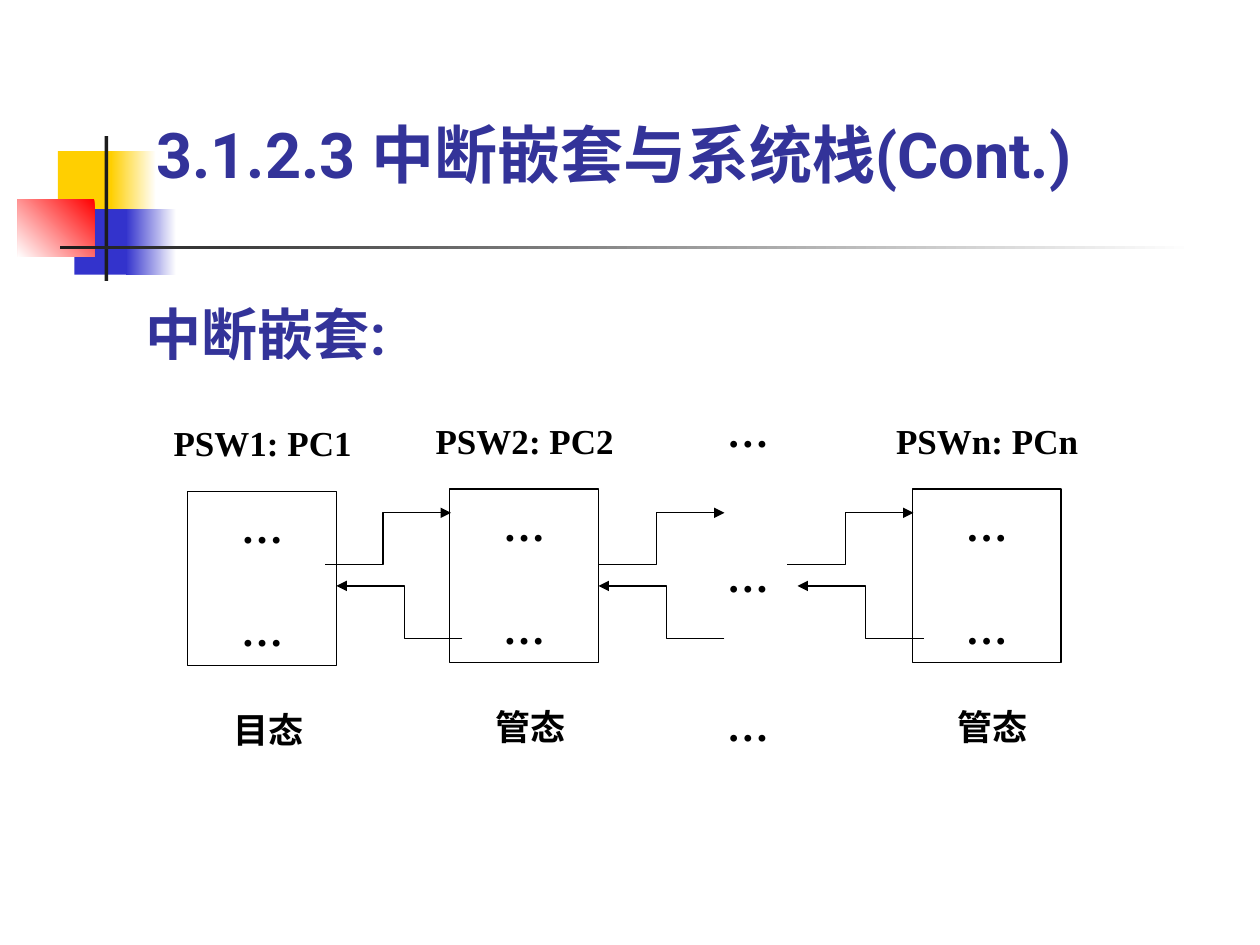
"""Build the slide on nested interrupts and the system stack."""
from dataclasses import dataclass

from lxml import etree
from pptx import Presentation
from pptx import util as u
from pptx.dml.color import RGBColor
from pptx.enum import shapes, text
from pptx.oxml import ns


@dataclass(frozen=True)
class Theme:
    """Colours, fonts and type sizes of the slide."""
    white: str = "FFFFFF"
    black: str = "000000"
    heading: str = "333399"
    yellow: str = "FFCF01"
    blue: str = "3333CC"
    red: str = "FF0000"
    rule: str = "1C1C1C"
    heading_font: str = "Roboto"
    body_font: str = "Times New Roman"
    title_size: int = 36
    subtitle_size: int = 32
    dots_size: int = 24
    label_size: int = 20
    line_width: float = 0.75


THEME = Theme()
LEFT, CENTER = text.PP_ALIGN.LEFT, text.PP_ALIGN.CENTER


def set_values(target, values):
    """Set every attribute named in a dict of format values."""
    for name, value in values.items():
        setattr(target, name, value)


def place(shape, box):
    """Move and size a shape from a box in inches."""
    names = ("left", "top", "width", "height")
    set_values(shape, dict(zip(names, map(u.Inches, box))))


def write(shape, lines, size, color=THEME.black, font=THEME.body_font,
          align=CENTER, gap=0, **frame_values):
    """Write bold lines into a shape, with a gap between the lines."""
    frame = shape.text_frame
    set_values(frame, {"word_wrap": True,
                       "auto_size": text.MSO_AUTO_SIZE.SHAPE_TO_FIT_TEXT,
                       **frame_values})
    for index, line in enumerate(lines):
        paragraph = frame.add_paragraph() if index else frame.paragraphs[0]
        paragraph.text = line
        set_values(paragraph, {"alignment": align,
                               "space_before": u.Pt(gap if index else 0)})
        set_values(paragraph.font, {"name": font, "size": u.Pt(size), "bold": True})
        paragraph.font.color.rgb = RGBColor.from_string(color)


def add_label(slide, box, line, size, **format_values):
    """Add a one-line text box."""
    shape = slide.shapes.add_textbox(*map(u.Inches, box))
    write(shape, [line], size, **format_values)
    place(shape, box)


def add_rectangle(slide, box, color):
    """Add a plain filled rectangle without an outline."""
    shape = slide.shapes.add_shape(shapes.MSO_SHAPE.RECTANGLE, *map(u.Inches, box))
    shape.shadow.inherit = False
    shape.fill.solid()
    shape.fill.fore_color.rgb = RGBColor.from_string(color)
    shape.line.fill.background()
    return shape


def add_fade(slide, box, start, end, angle=180):
    """Add a rectangle with a two-colour linear gradient."""
    fill = add_rectangle(slide, box, start).fill
    fill.gradient()
    fill.gradient_angle = angle
    for stop, color in zip(fill.gradient_stops, (start, end)):
        stop.color.rgb = RGBColor.from_string(color)


def draw_outline(shape):
    """Give a shape the thin black line of the diagram."""
    shape.line.color.rgb = RGBColor.from_string(THEME.black)
    shape.line.width = u.Pt(THEME.line_width)


def add_arrow(slide, start, turn, end):
    """Add a stepped arrow that changes height at the turn."""
    (start_x, start_y), (end_x, end_y) = start, end
    builder = slide.shapes.build_freeform(u.Inches(start_x), u.Inches(start_y))
    corners = [(turn, start_y), (turn, end_y), (end_x, end_y)]
    builder.add_line_segments([tuple(map(u.Inches, point)) for point in corners],
                              close=False)
    shape = builder.convert_to_shape()
    shape.shadow.inherit = False
    shape.fill.background()
    draw_outline(shape)
    line = shape.line.fill._xPr
    etree.SubElement(line, ns.qn("a:tailEnd"), type="triangle")


def add_process(slide, left, top, heading, state):
    """Add a program box with its status word above and its mode below."""
    box = add_rectangle(slide, (left, top, 1.18, 1.38), THEME.white)
    draw_outline(box)
    write(box, ["…", "…"], THEME.dots_size, gap=30, word_wrap=False,
          auto_size=text.MSO_AUTO_SIZE.NONE,
          vertical_anchor=text.MSO_ANCHOR.MIDDLE)
    add_label(slide, (left + 0.18, top + 1.67, 0.92, 0.44), state, THEME.label_size)
    add_label(slide, (left - 0.24, top - 0.6, 1.67, 0.44), heading, THEME.label_size)


def add_decoration(slide):
    """Add the coloured blocks and the two rules beside the title."""
    add_rectangle(slide, (0.46, 1.2, 0.48, 0.52), THEME.yellow)
    add_fade(slide, (0.88, 1.2, 0.36, 0.52), THEME.white, THEME.yellow)
    add_rectangle(slide, (0.59, 1.66, 0.46, 0.52), THEME.blue)
    add_fade(slide, (1, 1.66, 0.4, 0.52), THEME.white, THEME.blue)
    add_fade(slide, (0.14, 1.58, 0.61, 0.46), THEME.red, THEME.white, 225)
    add_rectangle(slide, (0.83, 1.08, 0.03, 1.15), THEME.rule)
    add_fade(slide, (0.48, 1.95, 9, 0.03), THEME.white, THEME.rule)


def main():
    """Build and save the slide."""
    presentation = Presentation()
    set_values(presentation, {"slide_width": u.Inches(10),
                              "slide_height": u.Inches(7.5)})
    slide = presentation.slides.add_slide(presentation.slide_layouts[5])
    add_decoration(slide)

    heading = {"color": THEME.heading, "font": THEME.heading_font, "align": LEFT}
    title = slide.shapes.title
    place(title, (1.14, 0.87, 7.96, 0.7))
    write(title, ["3.1.2.3 中断嵌套与系统栈(Cont.)"], THEME.title_size,
          vertical_anchor=text.MSO_ANCHOR.BOTTOM, **heading)
    add_label(slide, (1.06, 2.33, 2.36, 0.64), "中断嵌套:",
              THEME.subtitle_size, **heading)

    for left, top, status, state in ((1.49, 3.9, "PSW1: PC1", "目态"),
                                     (3.57, 3.88, "PSW2: PC2", "管态"),
                                     (7.24, 3.88, "PSWn: PCn", "管态")):
        add_process(slide, left, top, status, state)
    for left in (2.58, 4.75, 6.25):
        add_arrow(slide, (left, 4.48), left + 0.46, (left + 1, 4.07))
    for left in (2.67, 4.75, 6.33):
        add_arrow(slide, (left + 1, 5.07), left + 0.54, (left, 4.65))
    for top in (3.17, 4.32, 5.5):
        add_label(slide, (5.67, top, 0.67, 0.5), "…", THEME.dots_size, align=LEFT)

    presentation.save("out.pptx")


if __name__ == "__main__":
    main()
